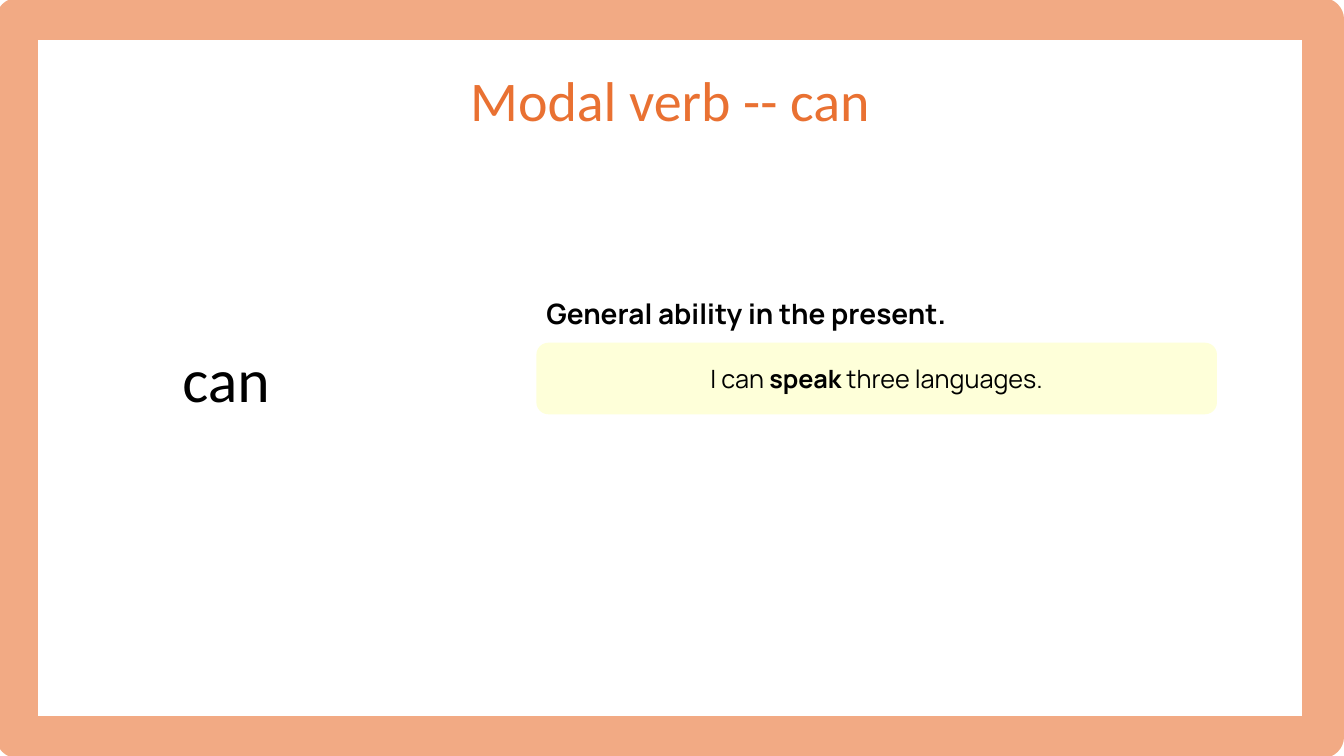
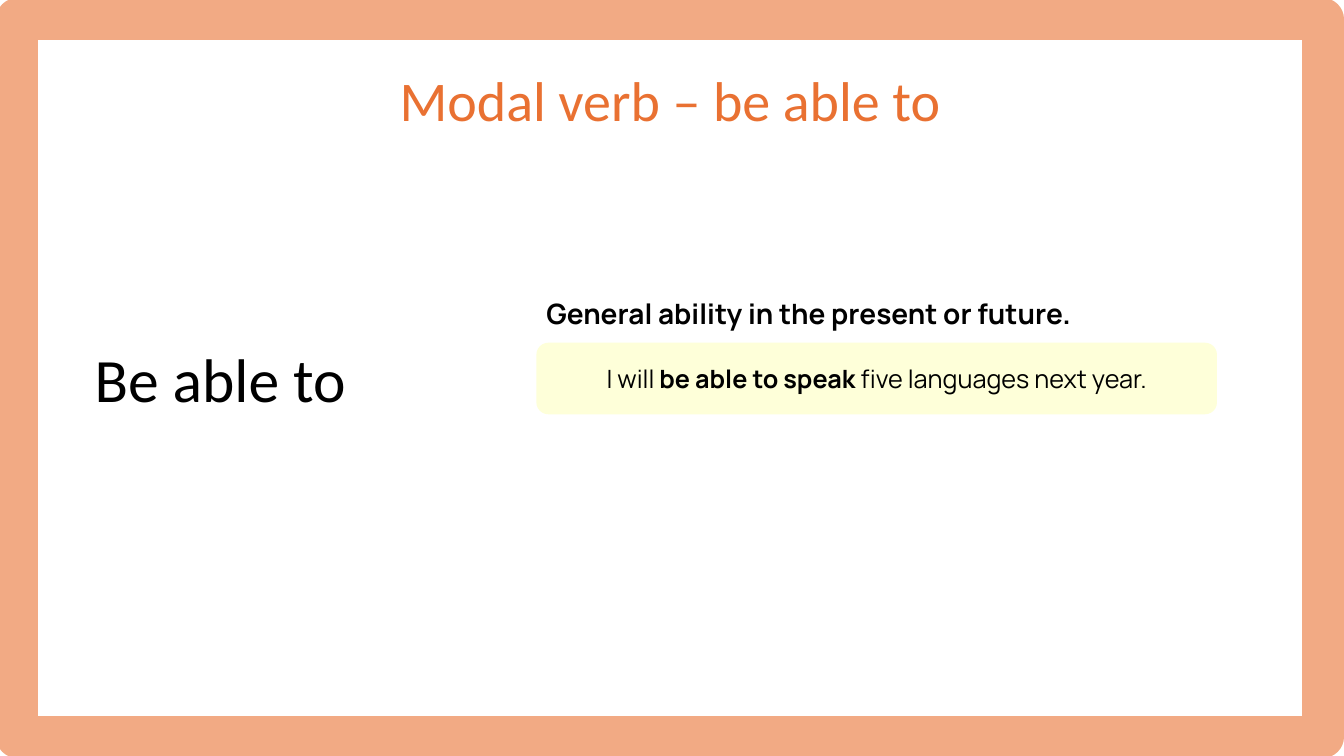
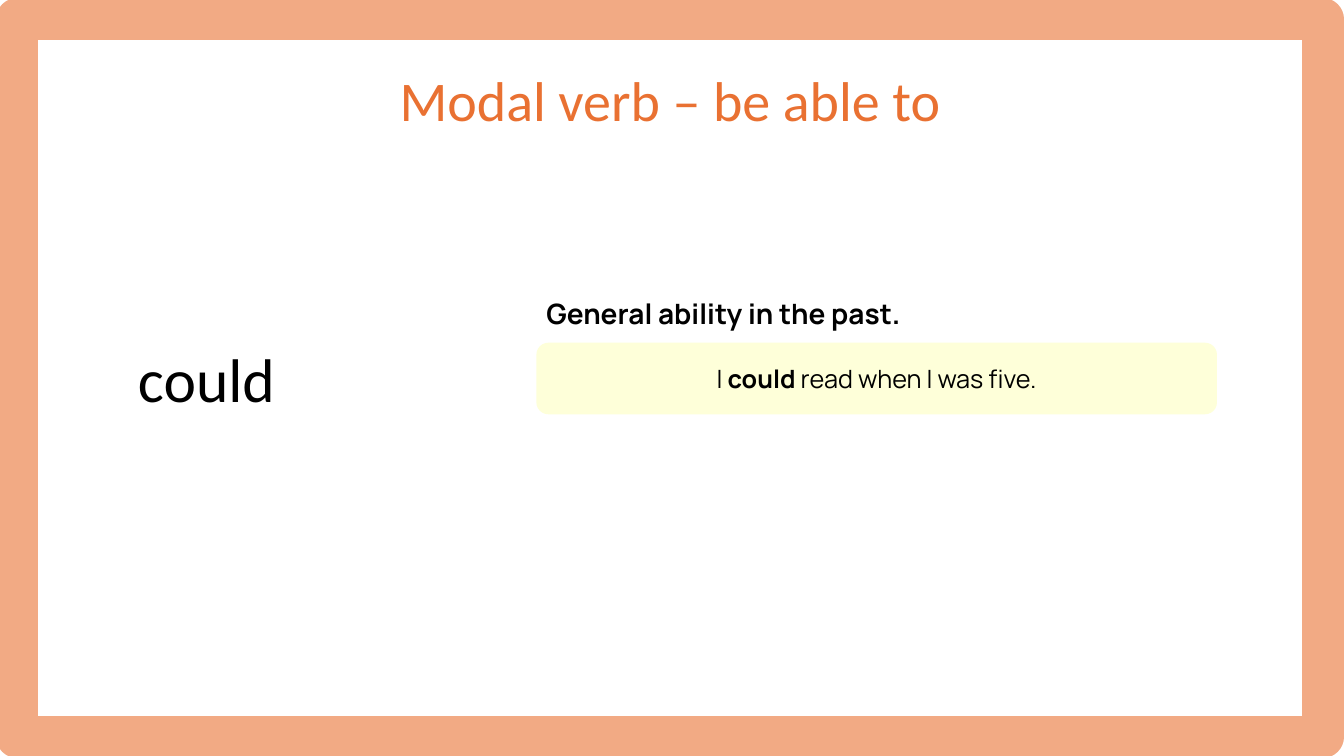
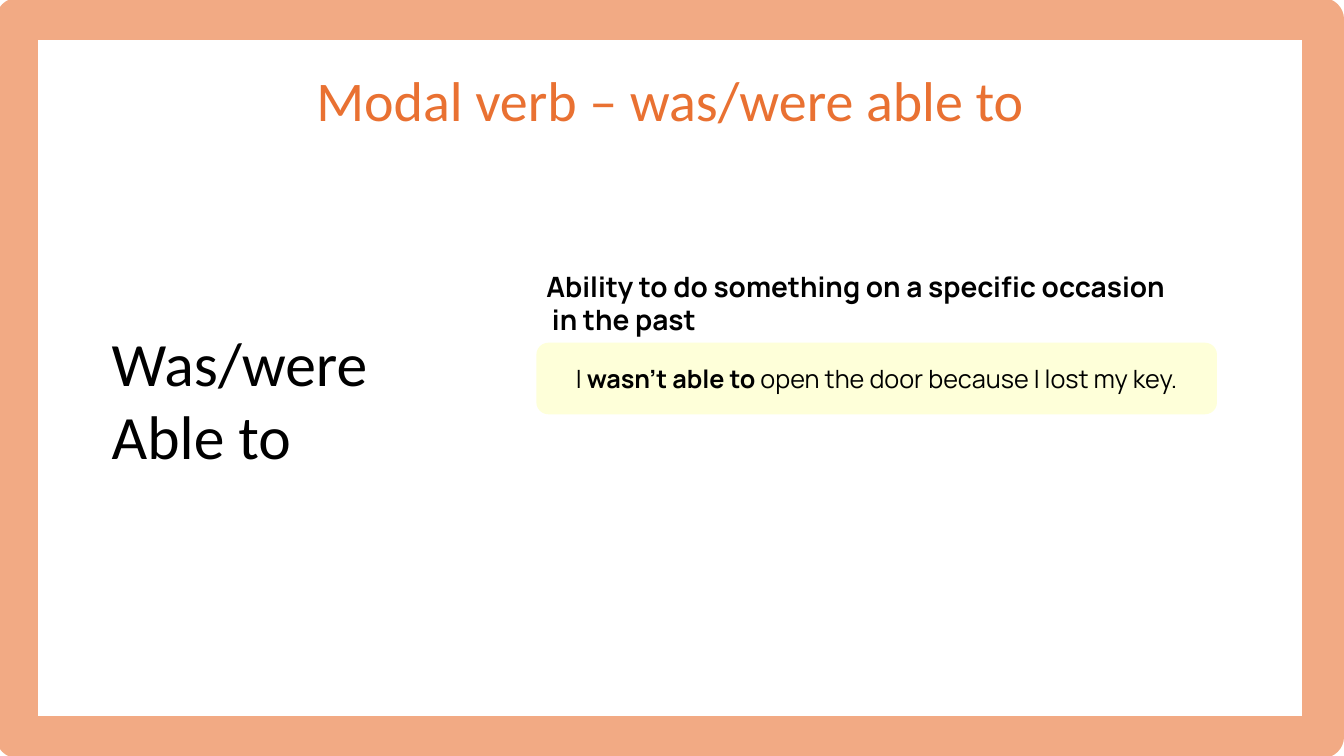
from pptx import Presentation
from pptx.dml.color import RGBColor
from pptx.enum.shapes import MSO_SHAPE
from pptx.enum.text import MSO_ANCHOR, MSO_AUTO_SIZE, PP_ALIGN
from pptx.util import Inches, Pt

PEACH = RGBColor(0xF2, 0xAA, 0x84)
ORANGE = RGBColor(0xE9, 0x71, 0x32)
CREAM = RGBColor(0xFE, 0xFF, 0xD9)
BLACK = RGBColor(0, 0, 0)
HEADING_FONT, BODY_FONT = "Calibri", "Manrope"

# Boxes are (left, top, width, height) in inches.
# Each example is (before, bold part, after).
LESSONS = [
    {"title": "Modal verb -- can",
     "verb": "can", "verb_box": (1.71, 3.33, 1.32, 0.84),
     "use": "General ability in the present.", "use_size": (4.45, 0.44),
     "example": ("I can ", "speak", " three languages.")},
    {"title": "Modal verb – be able to",
     "verb": "Be able to", "verb_box": (0.84, 3.33, 3.27, 0.84),
     "use": "General ability in the present or future.", "use_size": (5.75, 0.44),
     "example": ("I will ", "be able to speak ", "five languages next year.")},
    {"title": "Modal verb – be able to",
     "verb": "could", "verb_box": (1.27, 3.33, 1.95, 0.84),
     "use": "General ability in the past.", "use_size": (3.98, 0.44),
     "example": ("I ", "could", " read when I was five.")},
    {"title": "Modal verb – was/were able to",
     "verb": "Was/were\nAble to", "verb_box": (1.01, 3.17, 3.47, 1.58),
     "use": "Ability to do something on a specific occasion\v in the past",
     "use_size": (6.79, 0.77),
     "example": ("I ", "wasn’t able to ", "open the door because I lost my key.")},
]

FRAME_BOX = (0.17, 0.19, 12.95, 7.12)
TITLE_BOX = (1.71, 0.6, 9.87, 0.77)
EXAMPLE_BOX = (5.32, 3.4, 6.75, 0.71)
USE_LEFT, USE_BOTTOM = 5.32, 3.33
USE_OVERLAP = 0.06  # a two-line use reaches a little lower


def inches(box):
    return [Inches(v) for v in box]


def style(p, font, size, color, bold=False, align=PP_ALIGN.LEFT):
    p.alignment = align
    p.font.name, p.font.size, p.font.bold = font, Pt(size), bold
    p.font.color.rgb = color


def add_text(slide, box, text, *look, wrap=False, **options):
    tf = slide.shapes.add_textbox(*inches(box)).text_frame
    tf.word_wrap = wrap
    tf.auto_size = MSO_AUTO_SIZE.SHAPE_TO_FIT_TEXT
    tf.text = text
    for p in tf.paragraphs:
        style(p, *look, **options)


def add_frame(slide):
    sp = slide.shapes.add_shape(MSO_SHAPE.RECTANGLE, *inches(FRAME_BOX))
    sp.shadow.inherit = False
    sp.fill.background()
    sp.line.color.rgb = PEACH
    sp.line.width = Pt(30)


def add_example(slide, parts):
    sp = slide.shapes.add_shape(MSO_SHAPE.ROUNDED_RECTANGLE, *inches(EXAMPLE_BOX))
    sp.shadow.inherit = False
    sp.fill.solid()
    sp.fill.fore_color.rgb = CREAM
    sp.line.fill.background()
    tf = sp.text_frame
    tf.word_wrap = True
    tf.vertical_anchor = MSO_ANCHOR.MIDDLE
    p = tf.paragraphs[0]
    style(p, BODY_FONT, 18, BLACK, align=PP_ALIGN.CENTER)
    for i, part in enumerate(parts):
        r = p.add_run()
        r.text = part
        r.font.bold = i == 1


def add_lesson(prs, lesson):
    slide = prs.slides.add_slide(prs.slide_layouts[6])
    add_frame(slide)
    add_text(slide, TITLE_BOX, lesson["title"], HEADING_FONT, 40, ORANGE,
             wrap=True, align=PP_ALIGN.CENTER)
    add_text(slide, lesson["verb_box"], lesson["verb"], HEADING_FONT, 44, BLACK)
    add_example(slide, lesson["example"])
    width, height = lesson["use_size"]
    bottom = USE_BOTTOM + USE_OVERLAP * lesson["use"].count("\v")
    add_text(slide, (USE_LEFT, bottom - height, width, height), lesson["use"],
             BODY_FONT, 20, BLACK, bold=True)


def main():
    prs = Presentation()
    prs.slide_width, prs.slide_height = Inches(13.33), Inches(7.5)
    for lesson in LESSONS:
        add_lesson(prs, lesson)
    prs.save("out.pptx")


if __name__ == "__main__":
    main()
